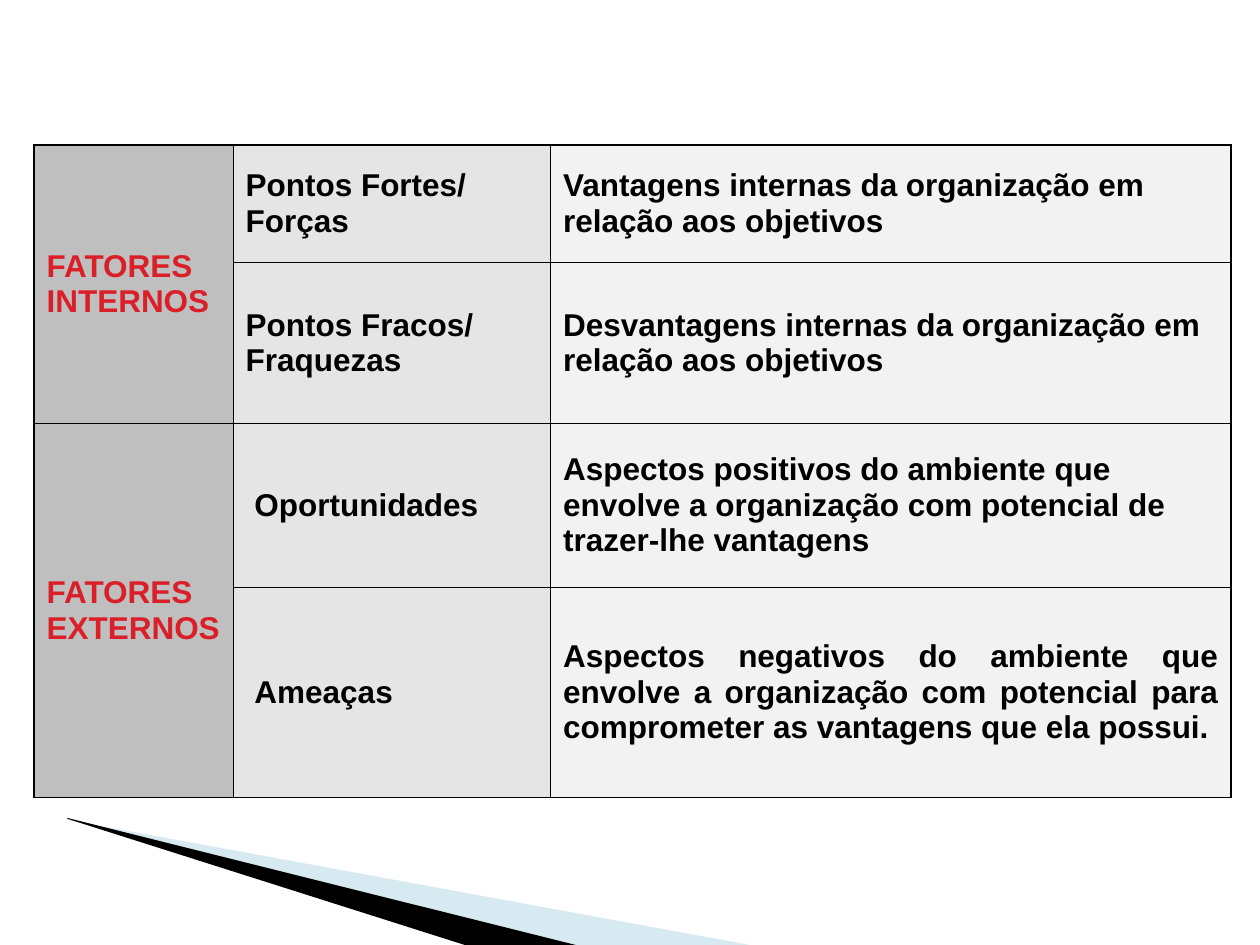
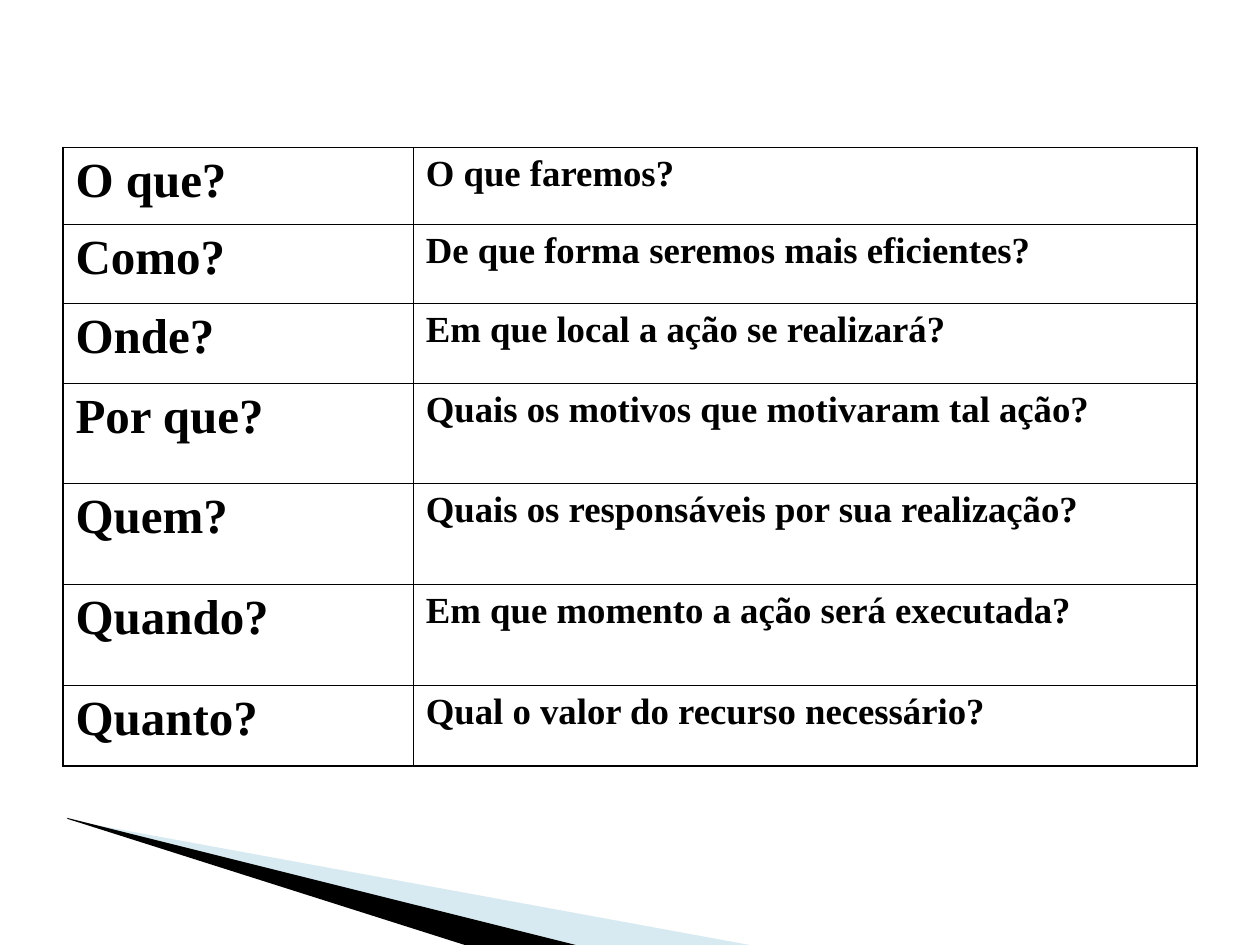
"""Two slides: SWOT factors and the action plan questions, over a shared corner band."""
from lxml import etree
from pptx import Presentation, util as u
from pptx.dml import color
from pptx.enum import text
from pptx.oxml import ns


def rgb(code):
    return color.RGBColor.from_string(code)


def grid(slide, left, top, cols, rows, edge):
    frame = slide.shapes.add_table(len(rows), len(cols), u.Inches(left), u.Inches(top),
                                   u.Inches(sum(cols)), u.Inches(sum(rows)))
    table = frame.table
    table.first_row = table.horz_banding = False
    for part, sizes in ((table.columns, cols), (table.rows, rows)):
        for item, size in zip(part, sizes):
            if part is table.columns:
                item.width = u.Inches(size)
            else:
                item.height = u.Inches(size)
    if len(cols) == 3:
        for row in (0, 2):
            table.cell(row, 0).merge(table.cell(row + 1, 0))
    for row in range(len(rows)):
        for col in range(len(cols)):
            cell = table.cell(row, col)
            cell.fill.background()
            outer = {"L": col == 0, "R": col == len(cols) - 1, "T": row == 0,
                     "B": row + cell.span_height == len(rows)}
            props = cell._tc.get_or_add_tcPr()
            for spot, (side, far) in enumerate(outer.items()):
                line = etree.Element(ns.qn("a:ln" + side), w=str(u.Pt(edge if far else THIN)))
                fill = etree.SubElement(line, ns.qn("a:solidFill"))
                etree.SubElement(fill, ns.qn("a:srgbClr"), val=BLACK)
                props.insert(spot, line)
    return table


BLACK, RED, BLUE = "000000", "DA1F28", "9FCBDC"
SHADES = ["BFBFBF", "E5E5E5", "F2F2F2"]
THIN = 0.45

deck = Presentation()
deck.slide_width, deck.slide_height = u.Inches(10), u.Inches(7.5)
base = deck.slide_layouts[6]
swot, plan = [deck.slides.add_slide(base) for _ in range(2)]

# Points are in hundredths of an inch.
bands = [
    (BLUE, 40, [(55, 651), (595, 750), (456, 750), (55, 650)]),
    (BLACK, 100, [(53, 649), (457, 750), (369, 750), (54, 650)]),
]
for num, (tint, alpha, points) in enumerate(bands):
    pen = swot.shapes.build_freeform(*points[0], scale=u.Inches(0.01))
    pen.add_line_segments(points[1:])
    band = pen.convert_to_shape()
    band.shadow.inherit = False
    band.line.fill.background()
    band.fill.solid()
    band.fill.fore_color.rgb = rgb(tint)
    if alpha < 100:
        hue = band.element.spPr.find(".//" + ns.qn("a:srgbClr"))
        etree.SubElement(hue, ns.qn("a:alpha"), val=str(alpha * 1000))
    band.element.nvSpPr.cNvPr.set("id", str(20 + num))
    base.shapes.element.append(band.element)

factors = [
    ["FATORES INTERNOS", "Pontos Fortes/ Forças",
     "Vantagens internas da organização em relação aos objetivos"],
    ["", "Pontos Fracos/ Fraquezas",
     "Desvantagens internas da organização em relação aos objetivos"],
    ["FATORES EXTERNOS", "Oportunidades",
     "Aspectos positivos do ambiente que envolve a organização com potencial "
     "de trazer-lhe vantagens"],
    ["", "Ameaças",
     "Aspectos negativos do ambiente que envolve a organização com potencial "
     "para comprometer as vantagens que ela possui."],
]
table = grid(swot, 0.27, 1.15, [1.58, 2.52, 5.4], [0.93, 1.28, 1.3, 1.67], 0.96)
for row, words in enumerate(factors):
    for col, word in enumerate(words):
        cell = table.cell(row, col)
        cell.fill.solid()
        cell.fill.fore_color.rgb = rgb(SHADES[col])
        cell.vertical_anchor = text.MSO_ANCHOR.MIDDLE
        if not word:
            continue
        if col == 1 and row > 1:
            cell.margin_left = u.Inches(0.17)
        para = cell.text_frame.paragraphs[0]
        if row == 3:
            para.alignment = text.PP_ALIGN.JUSTIFY
        run = para.add_run()
        run.text = word
        run.font.name, run.font.size, run.font.bold = "Arial", u.Pt(18), True
        run.font.color.rgb = rgb(BLACK if col else RED)

asks = [
    ["O que?", "O que faremos?"],
    ["Como?", "De que forma seremos mais eficientes?"],
    ["Onde?", "Em que local a ação se realizará?"],
    ["Por que?", "Quais os motivos que motivaram tal ação?"],
    ["Quem?", "Quais os responsáveis por sua realização?"],
    ["Quando?", "Em que momento a ação será executada?"],
    ["Quanto?", "Qual o valor do recurso necessário?"],
]
table = grid(plan, 0.5, 1.17, [2.78, 6.22], [0.61, 0.63, 0.63, 0.8, 0.8, 0.8, 0.64], 1.08)
for row, words in enumerate(asks):
    for col, (word, size) in enumerate(zip(words, (28, 21))):
        run = table.cell(row, col).text_frame.paragraphs[0].add_run()
        run.text = word
        run.font.name, run.font.size, run.font.bold = "Times New Roman", u.Pt(size), True
        run.font.color.rgb = rgb(BLACK)

deck.save("out.pptx")
